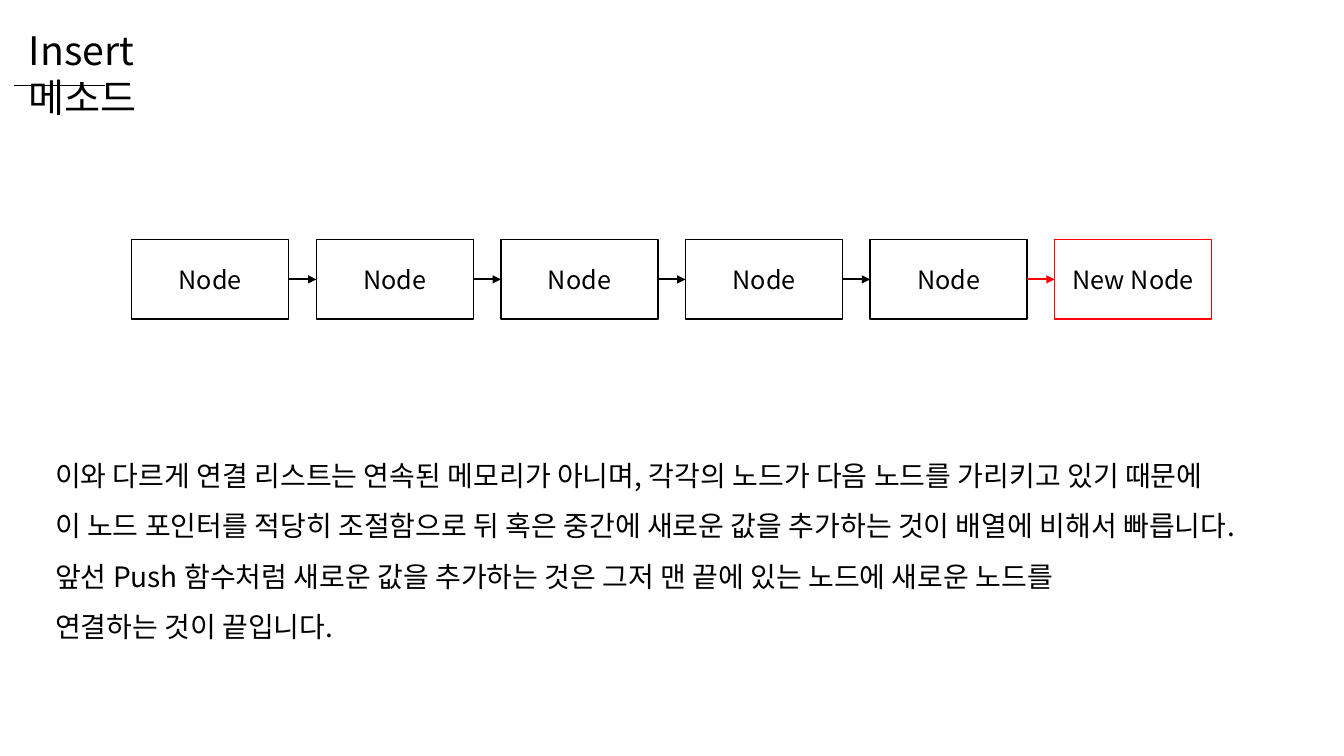
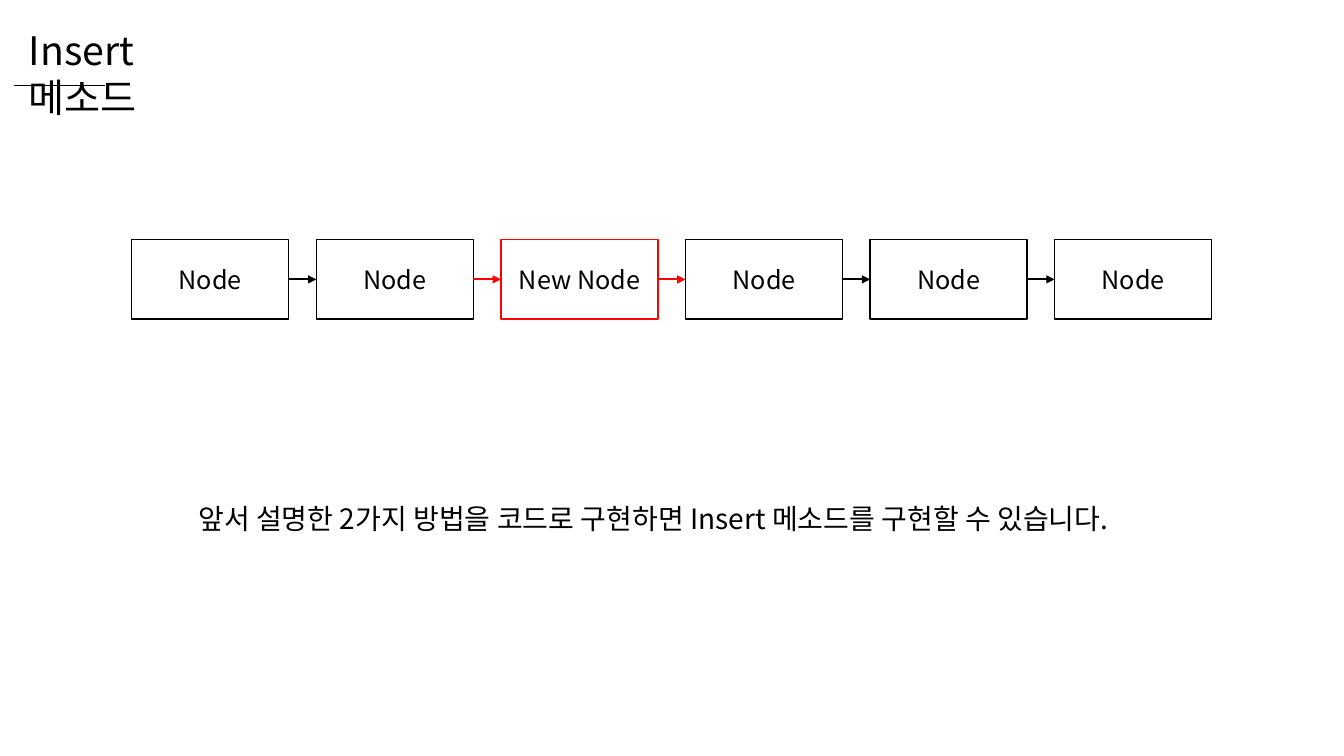
from itertools import pairwise
from lxml import etree
from pptx import Presentation
from pptx.dml.color import RGBColor
from pptx.enum.shapes import MSO_CONNECTOR as CONN, MSO_SHAPE as SHAPE
from pptx.enum.text import MSO_ANCHOR as ANCHOR, PP_ALIGN as ALIGN
from pptx.oxml.ns import qn
from pptx.util import Cm, Pt

FONT = "Noto Sans CJK KR"
BLACK, WHITE, RED = "000000", "FFFFFF", "FF0000"
TITLE_BOX = (0.48, 0.53, 6.15, 1.45)
CHAIN_BOX = (3.32, 6.04, 27.22, 2.0)
NODE_W = 3.96


def rgb(value):
    return RGBColor.from_string(value)


def style_text(tf, size, spacing=None, align=ALIGN.LEFT):
    for p in tf.paragraphs:
        p.alignment = align
        p.line_spacing = spacing
        for r in p.runs:
            r.font.size = Pt(size)
            r.font.name = FONT
            r.font.color.rgb = rgb(BLACK)
            ea = etree.SubElement(r.font._element, qn("a:ea"))
            ea.set("typeface", FONT)


def add_text(s, box, text, size, spacing=None, wrap=False):
    tf = s.shapes.add_textbox(*map(Cm, box)).text_frame
    tf.word_wrap = wrap
    tf.text = text
    style_text(tf, size, spacing)
    return tf


def add_line(shapes, start, end, color, width, arrow=False):
    line = shapes.add_connector(CONN.STRAIGHT, *map(Cm, (*start, *end)))
    line.line.color.rgb = rgb(color)
    line.line.width = Pt(width)
    if arrow:
        tail = etree.SubElement(line.line._get_or_add_ln(), qn("a:tailEnd"))
        tail.set("type", "triangle")
    etree.SubElement(line._element.spPr, qn("a:effectLst"))
    return line


def add_title(s, box, text):
    left, top, width, height = box
    tf = add_text(s, box, text, 28, wrap=True)
    tf.margin_right = Cm(2.8)
    y = top + height + 0.18
    add_line(s.shapes, (left - 0.12, y), (left + 2.16, y), BLACK, 0.5)


def add_node(shapes, box, text, color):
    sp = shapes.add_shape(SHAPE.RECTANGLE, *map(Cm, box))
    sp.shadow.inherit = False
    sp.fill.solid()
    sp.fill.fore_color.rgb = rgb(WHITE)
    sp.line.color.rgb = rgb(color)
    sp.line.width = Pt(1)
    tf = sp.text_frame
    tf.vertical_anchor = ANCHOR.MIDDLE
    tf.text = text
    style_text(tf, 18, align=ALIGN.CENTER)


def add_chain(s, box, new_index, red_links, count=6):
    left, top, width, height = box
    pitch = (width - NODE_W) / (count - 1)
    lefts = [left + i * pitch for i in range(count)]
    shapes = s.shapes.add_group_shape().shapes
    for i, x in enumerate(lefts):
        text, color = ("New Node", RED) if i == new_index else ("Node", BLACK)
        add_node(shapes, (x, top, NODE_W, height), text, color)
    y = top + height / 2
    for i, (x, next_x) in enumerate(pairwise(lefts)):
        color = RED if i in red_links else BLACK
        add_line(shapes, (x + NODE_W, y), (next_x, y), color, 1.5, arrow=True)


def insert_slide(prs, new_index, red_links, body_box, lines):
    s = prs.slides.add_slide(prs.slide_layouts[6])
    add_title(s, TITLE_BOX, "Insert 메소드")
    add_text(s, body_box, "\n".join(lines), 20, spacing=1.5)
    add_chain(s, CHAIN_BOX, new_index, red_links)


prs = Presentation()
prs.slide_width, prs.slide_height = Cm(33.87), Cm(19.05)
insert_slide(prs, 5, {4}, (1.14, 11.0, 31.57, 5.23), [
    "이와 다르게 연결 리스트는 연속된 메모리가 아니며, 각각의 노드가 다음 노드를 가리키고 있기 때문에",
    "이 노드 포인터를 적당히 조절함으로 뒤 혹은 중간에 새로운 값을 추가하는 것이 배열에 비해서 빠릅니다.",
    "앞선 Push 함수처럼 새로운 값을 추가하는 것은 그저 맨 끝에 있는 노드에 새로운 노드를",
    "연결하는 것이 끝입니다.",
])
insert_slide(prs, 2, {1, 2}, (4.75, 12.09, 24.33, 1.4), [
    "앞서 설명한 2가지 방법을 코드로 구현하면 Insert 메소드를 구현할 수 있습니다.",
])
prs.save("out.pptx")
